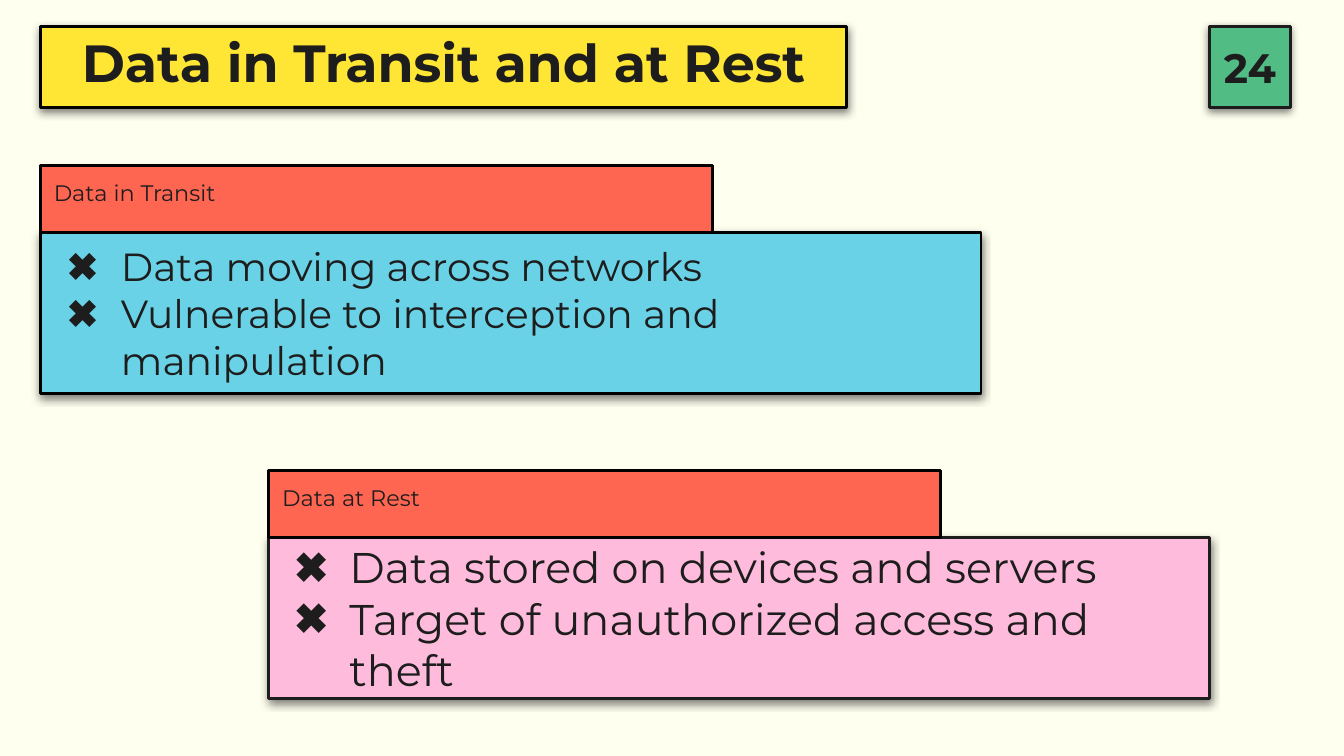
import pptx
import pptx.util
import pptx.dml.color
import pptx.enum.shapes
import pptx.enum.text
import lxml.etree
from pptx.util import Inches, Pt

NS = "http://schemas.openxmlformats.org/drawingml/2006/main"
INK = "1D1D1D"
ALIGN = pptx.enum.text.PP_ALIGN
MID = pptx.enum.text.MSO_ANCHOR.MIDDLE
TOP = pptx.enum.text.MSO_ANCHOR.TOP


def color(text):
    return pptx.dml.color.RGBColor.from_string(text)


def style(box, place, fill, edge, lines, size, bold=False, align=ALIGN.LEFT,
          anchor=MID, shade=True, hang=None):
    box.left, box.top, box.width, box.height = [Inches(n) for n in place]
    box.fill.solid()
    box.fill.fore_color.rgb = color(fill)
    box.line.color.rgb = color(edge)
    box.line.width = Pt(1.5)
    box.shadow.inherit = False
    if shade:
        glow = box._element.spPr.find(f"{{{NS}}}effectLst")
        glow.append(lxml.etree.fromstring(
            f'<a:outerShdw xmlns:a="{NS}" blurRad="{Pt(4.5)}" dist="{Pt(1.5)}" '
            'dir="5400000" algn="bl" rotWithShape="0"><a:srgbClr val="000000">'
            '<a:alpha val="50000"/></a:srgbClr></a:outerShdw>'))
    frame = box.text_frame
    frame.word_wrap = True
    frame.auto_size = pptx.enum.text.MSO_AUTO_SIZE.NONE
    frame.vertical_anchor = anchor
    frame.margin_left = frame.margin_right = Inches(0.1)
    frame.margin_top = frame.margin_bottom = Inches(0.1)
    for i, line in enumerate(lines):
        para = frame.add_paragraph() if i else frame.paragraphs[0]
        para.alignment = align
        para.space_before = Pt(0)
        if hang:
            props = para._p.get_or_add_pPr()
            props.set("marL", str(Inches(0.5)))
            props.set("indent", str(Inches(hang)))
            for part in (f'<a:buClr xmlns:a="{NS}"><a:srgbClr val="{INK}"/></a:buClr>',
                         f'<a:buFont xmlns:a="{NS}" typeface="Montserrat"/>',
                         f'<a:buChar xmlns:a="{NS}" char="✖"/>'):
                props.append(lxml.etree.fromstring(part))
        run = para.add_run()
        run.text = line
        run.font.name = "Montserrat"
        run.font.size = Pt(size)
        run.font.bold = bold
        run.font.color.rgb = color(INK)


deck = pptx.Presentation()
deck.slide_width = Inches(10)
deck.slide_height = Inches(10 * 9 / 16)
slide = deck.slides.add_slide(deck.slide_layouts[4])
slide.background.fill.solid()
slide.background.fill.fore_color.rgb = color("FFFFF0")
hold = {p.placeholder_format.idx: p for p in slide.placeholders}

style(hold[0], (0.3, 0.2, 6, 0.6), "FFE534", "000000",
      ["Data in Transit and at Rest"], 28, True, ALIGN.CENTER)
hold[0].text_frame.paragraphs[0].line_spacing = 0.8

badge = slide.shapes.add_shape(pptx.enum.shapes.MSO_SHAPE.RECTANGLE, 0, 0, 0, 0)
style(badge, (9, 0.2, 0.6, 0.6), "51BD85", INK, ["24"], 22, True, ALIGN.CENTER)

cards = [
    (1, "Data in Transit", 0.3, 1.73, "6AD2E6", "000000", 21, -0.4,
     ["Data moving across networks", "Vulnerable to interception and manipulation"]),
    (3, "Data at Rest", 2, 4, "FFBBDC", INK, 23, -0.41,
     ["Data stored on devices and servers", "Target of unauthorized access and theft"]),
]
for key, name, left, top, fill, edge, size, hang, lines in cards:
    style(hold[key + 1], (left, top, 7, 1.2), fill, edge, lines, size, hang=hang)
    style(hold[key], (left, top - 0.5, 5, 0.5), "FF6652", "000000", [name], 12,
          anchor=TOP, shade=False)
    slide.shapes._spTree.append(hold[key]._element)

deck.save("out.pptx")
